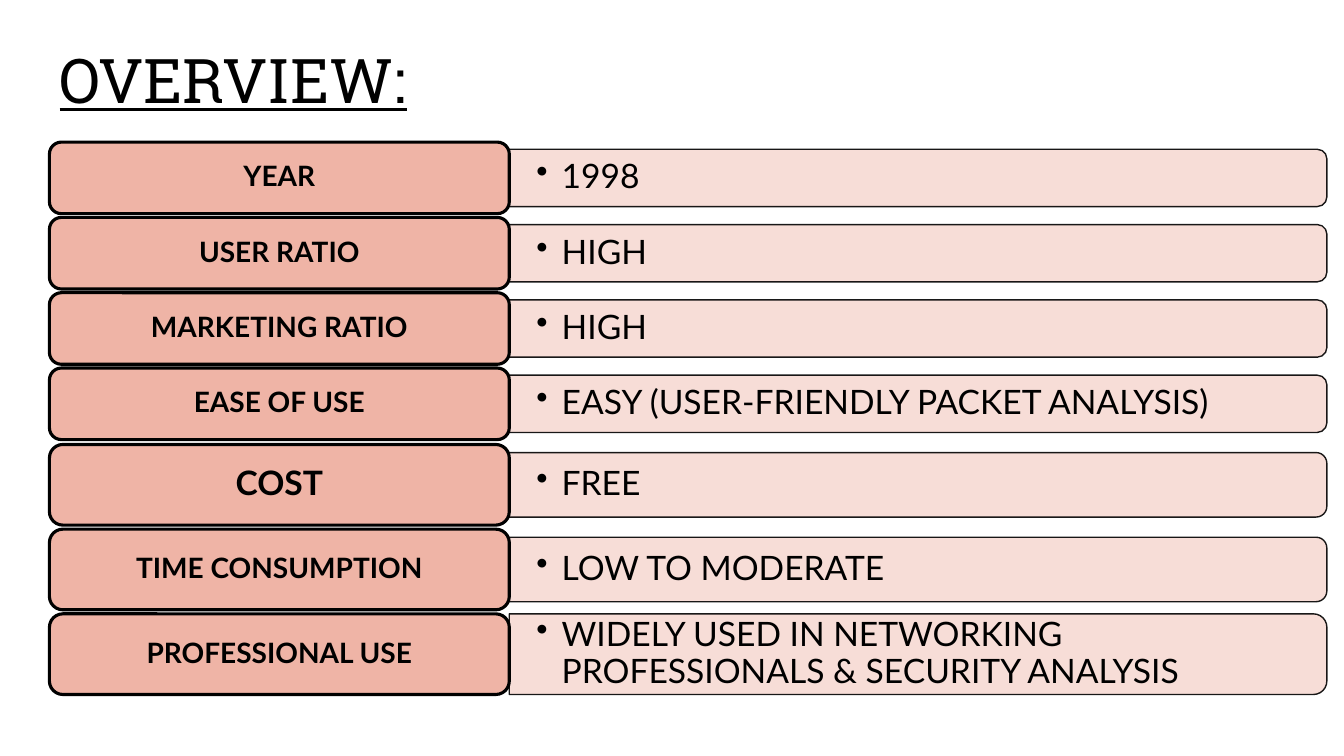
from lxml import etree
from pptx import Presentation
from pptx.dml.color import RGBColor
from pptx.enum.shapes import MSO_SHAPE
from pptx.enum.text import MSO_ANCHOR, PP_ALIGN
from pptx.oxml.ns import qn
from pptx.util import Inches, Pt

ROUND, BAR = MSO_SHAPE.ROUNDED_RECTANGLE, MSO_SHAPE.ROUND_2_SAME_RECTANGLE
MIDDLE = MSO_ANCHOR.MIDDLE
LEFT, CENTER = PP_ALIGN.LEFT, PP_ALIGN.CENTER

COLORS = {"ink": "000000", "label": "EFB4A6", "bar": "F7DAD3"}
WIDE, HIGH = 13.33, 7.5
SIDE = 0.49      # left edge of the rows
SPLIT = 0.36     # share of a row's width taken by its label
ROW_W = 12.67
SLIM = 0.8       # share of a row's height taken by its bar

# Each block: top, row height, row step, rows of (label, size, value, bar share)
BLOCKS = [
    (1.41, 0.71, 0.747, [
        ("YEAR", 20, "1998", SLIM),
        ("USER RATIO", 20, "HIGH", SLIM),
        ("MARKETING RATIO", 20, "HIGH", SLIM),
        ("EASE OF USE", 20, "EASY (USER-FRIENDLY PACKET ANALYSIS)", SLIM),
    ]),
    (4.41, 0.8, 0.84, [
        ("COST", 24, "FREE", SLIM),
        ("TIME CONSUMPTION", 20, "LOW TO MODERATE", SLIM),
        ("PROFESSIONAL USE", 20,
         "WIDELY USED IN NETWORKING PROFESSIONALS & SECURITY ANALYSIS", 1),
    ]),
]


def color(name):
    return RGBColor.from_string(COLORS[name])


def write(shape, text, align, insets, **font):
    """Put one formatted paragraph in a shape and return it."""
    frame = shape.text_frame
    frame.word_wrap = True
    frame.vertical_anchor = MIDDLE
    for side, inset in zip(("left", "top", "right", "bottom"), insets):
        setattr(frame, f"margin_{side}", Inches(inset))
    para = frame.paragraphs[0]
    para.alignment = align
    para.line_spacing = 0.9
    run = para.add_run()
    run.text = text
    run.font.color.rgb = color("ink")
    for key, value in font.items():
        setattr(run.font, key, value)
    return para


def paint(shape, fill, width):
    shape.shadow.inherit = False
    shape.fill.solid()
    shape.fill.fore_color.rgb = color(fill)
    shape.line.color.rgb = color("ink")
    shape.line.width = Pt(width)


def fade(shape, share):
    """Make the fill and line of a shape partly transparent."""
    for tint in shape._element.spPr.iter(qn("a:srgbClr")):
        etree.SubElement(tint, qn("a:alpha"), val=str(int(share * 100000)))


def bullet(para):
    props = para._p.get_or_add_pPr()
    props.set("marL", str(Inches(0.25)))
    props.set("indent", str(-Inches(0.25)))
    etree.SubElement(props, qn("a:buChar"), char="•")


def add_title(slide, left, top, width, height):
    title = slide.shapes.title
    title.left, title.top = Inches(left), Inches(top)
    title.width, title.height = Inches(width), Inches(height)
    write(title, "OVERVIEW:", LEFT, (0.1, 0.05, 0.1, 0.05),
          name="Roboto Slab", size=Pt(44), underline=True)


def add_row(group, left, top, width, height, row):
    label, size, value, share = row
    split = width * SPLIT
    start, length = left + split, width - split
    thick = height * share
    middle = top + height / 2

    # Value bar: an upright shape turned a quarter about its centre
    bar = group.shapes.add_shape(
        BAR, Inches(start + (length - thick) / 2), Inches(middle - length / 2),
        Inches(thick), Inches(length))
    bar.rotation = 90
    paint(bar, "bar", 1)
    fade(bar, 0.9)

    # Value text
    box = group.shapes.add_textbox(
        Inches(start), Inches(middle - thick / 2),
        Inches(length - 0.03), Inches(thick))
    bullet(write(box, value, LEFT, (0.27, 0.14, 0.27, 0.14),
                 name="Lato", size=Pt(24)))

    # Label
    tag = group.shapes.add_shape(
        ROUND, Inches(left), Inches(top), Inches(split), Inches(height))
    paint(tag, "label", 2.25)
    write(tag, label, CENTER, (0.08, 0.04, 0.08, 0.04),
          name="Lato", size=Pt(size), bold=True)


def add_block(slide, left, top, width, height, step, rows):
    group = slide.shapes.add_group_shape()
    for i, row in enumerate(rows):
        add_row(group, left, top + i * step, width, height, row)


def main():
    deck = Presentation()
    deck.slide_width, deck.slide_height = Inches(WIDE), Inches(HIGH)
    slide = deck.slides.add_slide(deck.slide_layouts[5])
    add_title(slide, SIDE, 0.1, 11.5, 1.45)
    for top, height, step, rows in BLOCKS:
        add_block(slide, SIDE, top, ROW_W, height, step, rows)
    deck.save("out.pptx")


if __name__ == "__main__":
    main()
